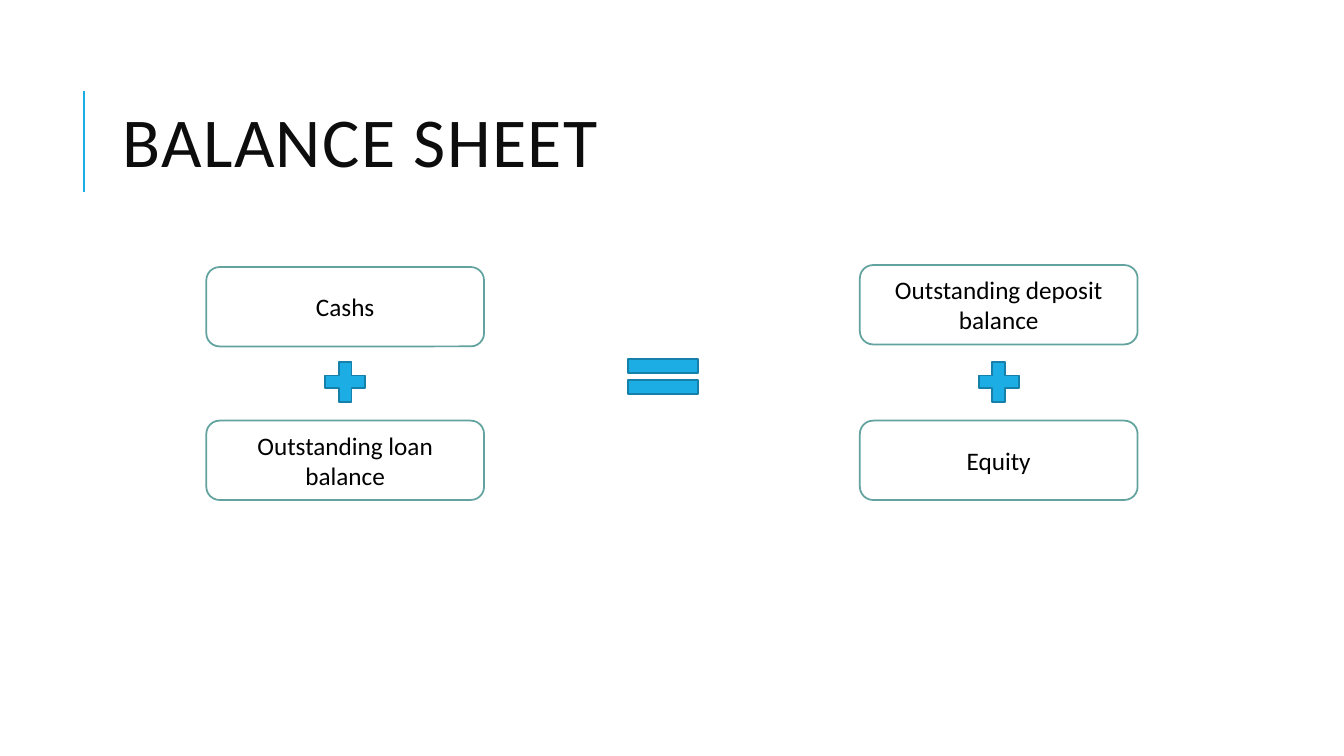
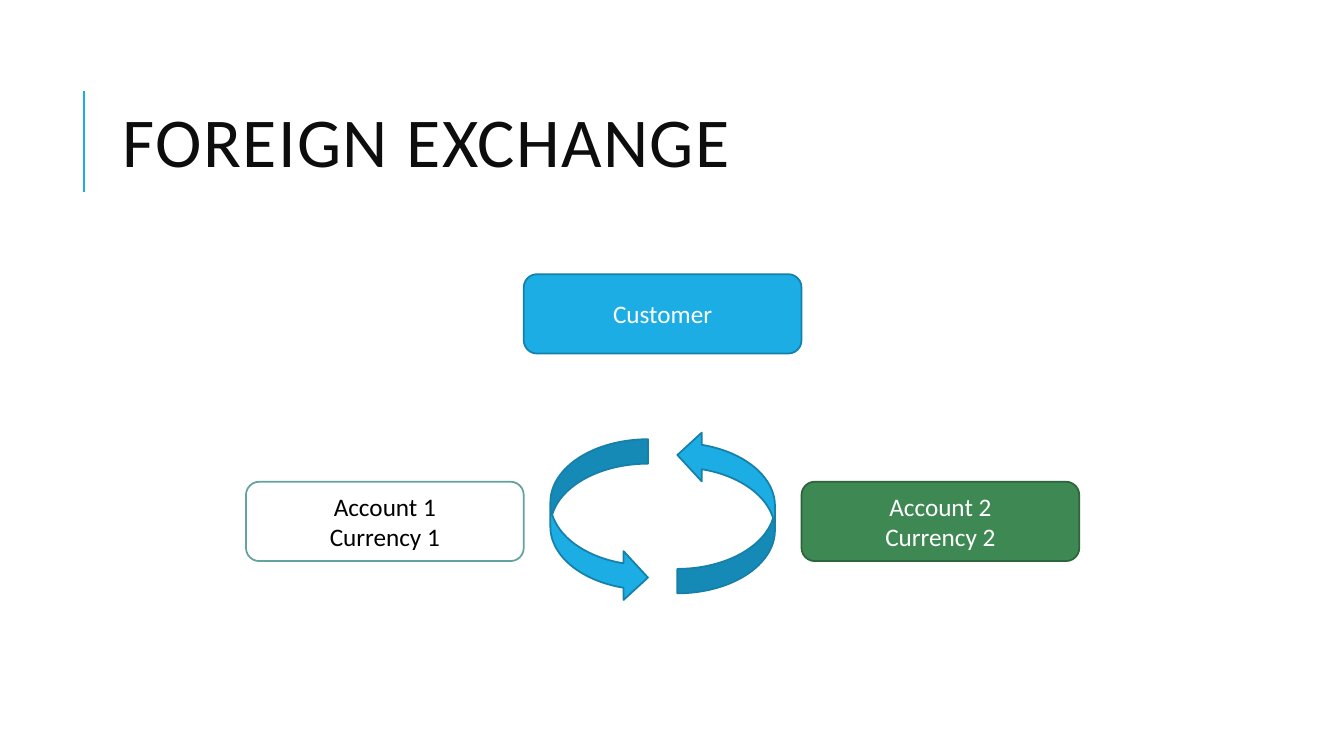
from pptx import Presentation
from pptx.dml.color import RGBColor
from pptx.enum.shapes import MSO_CONNECTOR, MSO_SHAPE
from pptx.enum.text import MSO_ANCHOR, PP_ALIGN
from pptx.oxml.ns import qn
from pptx.util import Cm, Pt
from lxml.etree import SubElement

# Shared style
FONT = "Calibri"
BLACK = RGBColor(0x00, 0x00, 0x00)
WHITE = RGBColor(0xFF, 0xFF, 0xFF)
TITLE_INK = RGBColor(0x0D, 0x0D, 0x0D)
BLUE = RGBColor(0x1C, 0xAD, 0xE4)
DARK_BLUE = RGBColor(0x15, 0x80, 0xA9)
TEAL = RGBColor(0x62, 0xA3, 0x9F)
GREEN = RGBColor(0x3E, 0x88, 0x53)
DARK_GREEN = RGBColor(0x2E, 0x65, 0x3D)

# Fill, outline and text colour
OUTLINED = (WHITE, TEAL, BLACK)
PRIMARY = (BLUE, DARK_BLUE, WHITE)
SECONDARY = (GREEN, DARK_GREEN, WHITE)

# Lengths in centimetres
BOX_W, BOX_H = 7.0, 2.0
PLUS_SIZE = 1.37
PLUS_TOP = 8.94
EQUALS = (15.52, 8.74, 2.39, 1.5)
ARROW_W, ARROW_H = 2.46, 4.1
ARROW_GAP = 0.67

# Balance sheet: each side is its left edge and its (text, top) items
BALANCE_SIDES = [
    (5.2, [("Cashs", 6.73), ("Outstanding loan balance", 10.6)]),
    (21.67, [("Outstanding deposit balance", 6.68), ("Equity", 10.6)]),
]

# Foreign exchange: text, column, top, style
EXCHANGE_LEFT = 6.2
EXCHANGE_PARTIES = [
    ("Customer", 1, 6.91, PRIMARY),
    ("Account 1\nCurrency 1", 0, 12.14, OUTLINED),
    ("Account 2\nCurrency 2", 2, 12.14, SECONDARY),
]
ARROW_TOPS = (11.07, 10.85)


def style_text(paragraph, size, color):
    for run in paragraph.runs:
        run.font.name = FONT
        run.font.size = Pt(size)
        run.font.color.rgb = color


def add_figure(slide, preset, left, top, width, height, style=PRIMARY):
    fill, outline, _ = style
    figure = slide.shapes.add_shape(preset, Cm(left), Cm(top), Cm(width), Cm(height))
    figure.shadow.inherit = False
    figure.fill.solid()
    figure.fill.fore_color.rgb = fill
    figure.line.color.rgb = outline
    figure.line.width = Pt(1.25)
    return figure


def add_box(slide, text, left, top, style=OUTLINED):
    box = add_figure(slide, MSO_SHAPE.ROUNDED_RECTANGLE, left, top, BOX_W, BOX_H, style)
    frame = box.text_frame
    frame.text = text
    frame.word_wrap = True
    frame.vertical_anchor = MSO_ANCHOR.MIDDLE
    for paragraph in frame.paragraphs:
        paragraph.alignment = PP_ALIGN.CENTER
        style_text(paragraph, 18, style[2])


def add_titled_slide(deck, heading):
    slide = deck.slides.add_slide(deck.slide_layouts[5])

    # Accent bar beside the title
    bar = slide.shapes.add_connector(
        MSO_CONNECTOR.STRAIGHT, Cm(2.12), Cm(4.83), Cm(2.12), Cm(2.29))
    bar.line.color.rgb = BLUE
    bar.line.width = Pt(1.5)
    SubElement(bar._element.spPr, qn("a:effectLst"))

    # Title
    title = slide.shapes.title
    title.left, title.top, title.width, title.height = Cm(2.84), Cm(1.63), Cm(27), Cm(4.17)
    title.text_frame.text = heading
    title.text_frame.vertical_anchor = MSO_ANCHOR.MIDDLE
    paragraph = title.text_frame.paragraphs[0]
    paragraph.alignment = PP_ALIGN.LEFT
    paragraph.line_spacing = 0.8
    style_text(paragraph, 50, TITLE_INK)
    paragraph.runs[0].font._element.set("spc", "100")
    return slide


def build_balance_sheet(deck):
    slide = add_titled_slide(deck, "BALANCE SHEET")
    for left, items in BALANCE_SIDES:
        for text, top in items:
            add_box(slide, text, left, top)
        plus_left = left + (BOX_W - PLUS_SIZE) / 2
        add_figure(slide, MSO_SHAPE.MATH_PLUS, plus_left, PLUS_TOP, PLUS_SIZE, PLUS_SIZE)
    add_figure(slide, MSO_SHAPE.MATH_EQUAL, *EQUALS)


def build_foreign_exchange(deck):
    slide = add_titled_slide(deck, "FOREIGN EXCHANGE")
    for text, column, top, style in EXCHANGE_PARTIES:
        add_box(slide, text, EXCHANGE_LEFT + column * BOX_W, top, style)

    # Cycle between the two accounts
    cycle_left = EXCHANGE_LEFT + BOX_W + ARROW_GAP
    cycle_right = EXCHANGE_LEFT + 2 * BOX_W - ARROW_GAP - ARROW_W
    for left, top, turn in zip((cycle_left, cycle_right), ARROW_TOPS, (0, 180)):
        arrow = add_figure(slide, MSO_SHAPE.CURVED_RIGHT_ARROW, left, top, ARROW_W, ARROW_H)
        arrow.rotation = turn


def main():
    deck = Presentation()
    deck.slide_width, deck.slide_height = Cm(33.87), Cm(19.05)
    build_balance_sheet(deck)
    build_foreign_exchange(deck)
    deck.save("out.pptx")


if __name__ == "__main__":
    main()
